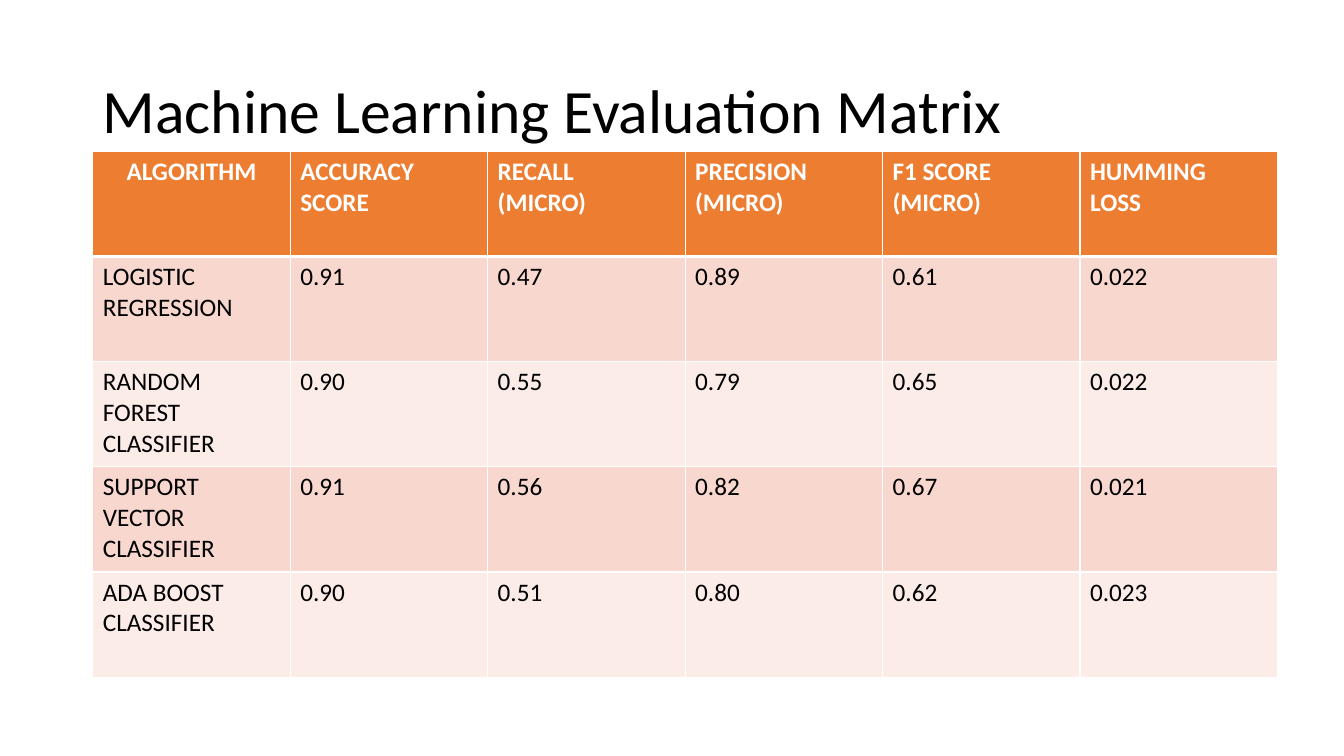
from lxml import etree
from pptx import Presentation
from pptx.dml.color import RGBColor
from pptx.enum.text import MSO_ANCHOR, PP_ALIGN
from pptx.oxml.ns import qn
from pptx.util import Emu, Pt

EMU_PER_PX = 9144
FONT = "Calibri"
MIDDLE = MSO_ANCHOR.MIDDLE
CENTER = PP_ALIGN.CENTER
BLACK = RGBColor(0x00, 0x00, 0x00)
WHITE = RGBColor(0xFF, 0xFF, 0xFF)
ORANGE = RGBColor(0xED, 0x7D, 0x31)
DARK_BAND = RGBColor(0xF8, 0xD7, 0xCE)
LIGHT_BAND = RGBColor(0xFC, 0xEC, 0xE8)

TITLE = "Machine Learning Evaluation Matrix"
SCORES = [
    ["ALGORITHM", "ACCURACY SCORE", "RECALL\n(MICRO)", "PRECISION\n(MICRO)",
     "F1 SCORE\n(MICRO)", "HUMMING\nLOSS"],
    ["LOGISTIC\nREGRESSION", "0.91", "0.47", "0.89", "0.61", "0.022"],
    ["RANDOM\nFOREST\nCLASSIFIER", "0.90", "0.55", "0.79", "0.65", "0.022"],
    ["SUPPORT VECTOR\nCLASSIFIER", "0.91", "0.56", "0.82", "0.67", "0.021"],
    ["ADA BOOST CLASSIFIER", "0.90", "0.51", "0.80", "0.62", "0.023"],
]


def px(length):
    return Emu(length * EMU_PER_PX)


def format_text(text_frame, size, color, bold=False):
    for paragraph in text_frame.paragraphs:
        for run in paragraph.runs:
            run.font.name = FONT
            run.font.size = Pt(size)
            run.font.bold = bold
            run.font.color.rgb = color


def set_borders(cell, top, bottom):
    properties = cell._tc.get_or_add_tcPr()
    widths = {"a:lnL": 1, "a:lnR": 1, "a:lnT": top, "a:lnB": bottom}
    for tag, width in widths.items():
        line = etree.SubElement(properties, qn(tag), w=str(Pt(width)))
        fill = etree.SubElement(line, qn("a:solidFill"))
        etree.SubElement(fill, qn("a:srgbClr"), val=str(WHITE))


def add_title(slide, left, top, width, height):
    text_box = slide.shapes.add_textbox(px(left), px(top), px(width), px(height))
    text_frame = text_box.text_frame
    text_frame.word_wrap = True
    text_frame.vertical_anchor = MIDDLE
    text_frame.text = TITLE
    text_frame.paragraphs[0].line_spacing = 0.9
    format_text(text_frame, 44, BLACK)


def add_score_table(slide, left, top, width, height):
    table = slide.shapes.add_table(
        len(SCORES), len(SCORES[0]), px(left), px(top), px(width), px(height)
    ).table
    for row, texts in enumerate(SCORES):
        is_header = row == 0
        band = DARK_BAND if row % 2 else LIGHT_BAND
        for column, text in enumerate(texts):
            cell = table.cell(row, column)
            set_borders(cell, 3 if row == 1 else 1, 3 if is_header else 1)
            cell.fill.solid()
            cell.fill.fore_color.rgb = ORANGE if is_header else band
            cell.text_frame.text = text
            format_text(cell.text_frame, 18, WHITE if is_header else BLACK, is_header)
    table.cell(0, 0).text_frame.paragraphs[0].alignment = CENTER


def main():
    presentation = Presentation()
    presentation.slide_width = px(1333)
    presentation.slide_height = px(750)
    slide = presentation.slides.add_slide(presentation.slide_layouts[6])
    add_title(slide, 92, 40, 1150, 145)
    add_score_table(slide, 92, 150, 1175, 522)
    presentation.save("out.pptx")


if __name__ == "__main__":
    main()
